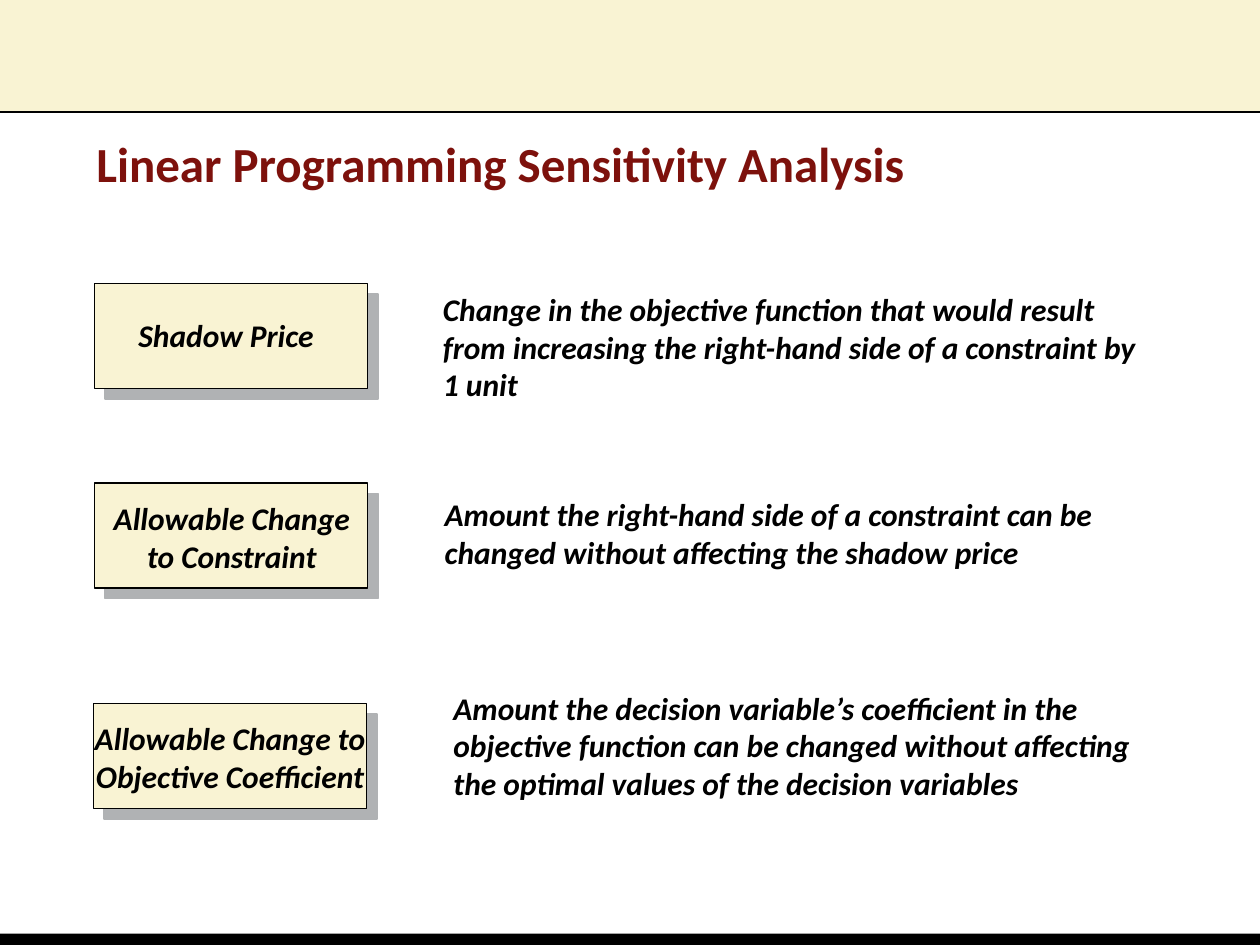
"""Build the slide on linear programming sensitivity analysis."""
from lxml import etree
from pptx import Presentation
from pptx.dml.color import RGBColor
from pptx.enum import shapes, text
from pptx.oxml import ns
from pptx.util import Pt

CREAM = RGBColor(0xF9, 0xF3, 0xD3)
BLACK = RGBColor(0, 0, 0)
MAROON = RGBColor(0x7D, 0x11, 0x0C)
SHADOW = RGBColor(0xB0, 0xB2, 0xB4)

WIDTH, HEIGHT = 720, 540
BOX_SIZE = (156, 60)
TITLE = "Linear Programming Sensitivity Analysis"
TITLE_PLACE = (48, 48, 588, 90)
TITLE_FORMAT = {"size": Pt(28), "bold": True, "name": "Calibri"}
BODY_FORMAT = {"size": Pt(18), "bold": True, "italic": True, "name": "Calibri"}

TERMS = [
    {
        "box": (54, 162),
        "label": ["Shadow Price"],
        "label_place": (72, 177, 116, 29),
        "meaning": "Change in the objective function that would result from "
                   "increasing the right-hand side of a constraint by 1 unit",
        "meaning_place": (246, 162, 420, 73),
    },
    {
        "box": (54, 276),
        "label": ["Allowable Change", "to Constraint"],
        "label_place": (57, 281.5, 151, 51),
        "meaning": "Amount the right-hand side of a constraint can be changed "
                   "without affecting the shadow price",
        "meaning_place": (247, 279.5, 408, 51),
    },
    {
        "box": (53.5, 402),
        "label": ["Allowable Change to", "Objective Coefficient"],
        "label_place": (43, 407.5, 177, 51),
        "meaning": "Amount the decision variable’s coefficient in the objective "
                   "function can be changed without affecting the optimal values "
                   "of the decision variables",
        "meaning_place": (252, 390, 408, 73),
    },
]


def points(values):
    return [Pt(value) for value in values]


def add_effects(shape):
    properties = shape._element.spPr
    for old in properties.findall(ns.qn("a:effectLst")):
        properties.remove(old)
    return etree.SubElement(properties, ns.qn("a:effectLst"))


def add_rectangle(slide, place, fill):
    shape = slide.shapes.add_shape(shapes.MSO_SHAPE.RECTANGLE, *points(place))
    shape.shadow.inherit = False
    shape.fill.solid()
    shape.fill.fore_color.rgb = fill
    shape.line.fill.background()
    return shape


def add_term_box(slide, corner):
    shape = add_rectangle(slide, corner + BOX_SIZE, CREAM)
    shape.line.color.rgb = BLACK
    shape.line.width = Pt(0.75)
    shadow = etree.SubElement(add_effects(shape), ns.qn("a:outerShdw"), blurRad="0",
                              dist=str(Pt(8.5)), dir=str(45 * 60000),
                              algn="ctr", rotWithShape="0")
    etree.SubElement(shadow, ns.qn("a:srgbClr"), val=str(SHADOW))


def add_text(slide, place, lines, font_format, color=BLACK, wrap=True,
             anchor=text.MSO_ANCHOR.TOP, align=text.PP_ALIGN.LEFT):
    frame = slide.shapes.add_textbox(*points(place)).text_frame
    frame.word_wrap = wrap
    frame.vertical_anchor = anchor
    frame.text = "\n".join(lines)
    for paragraph in frame.paragraphs:
        paragraph.alignment = align
        font = paragraph.runs[0].font
        font.color.rgb = color
        for name, value in font_format.items():
            setattr(font, name, value)


def main():
    presentation = Presentation()
    presentation.slide_width, presentation.slide_height = Pt(WIDTH), Pt(HEIGHT)
    slide = presentation.slides.add_slide(presentation.slide_layouts[6])

    add_rectangle(slide, (0, 0, WIDTH, 63.5), CREAM)
    rule = slide.shapes.add_connector(shapes.MSO_CONNECTOR.STRAIGHT,
                                      *points((0, 64, WIDTH, 64)))
    rule.line.color.rgb = BLACK
    rule.line.width = Pt(1)
    add_effects(rule)
    add_rectangle(slide, (0, 533.5, WIDTH, 6.5), BLACK)

    add_text(slide, TITLE_PLACE, [TITLE], TITLE_FORMAT, MAROON,
             anchor=text.MSO_ANCHOR.MIDDLE)
    for term in TERMS:
        add_term_box(slide, term["box"])
        align = text.PP_ALIGN.CENTER if len(term["label"]) > 1 else text.PP_ALIGN.LEFT
        add_text(slide, term["label_place"], term["label"], BODY_FORMAT,
                 wrap=False, align=align)
        add_text(slide, term["meaning_place"], [term["meaning"]], BODY_FORMAT)

    presentation.save("out.pptx")


if __name__ == "__main__":
    main()
